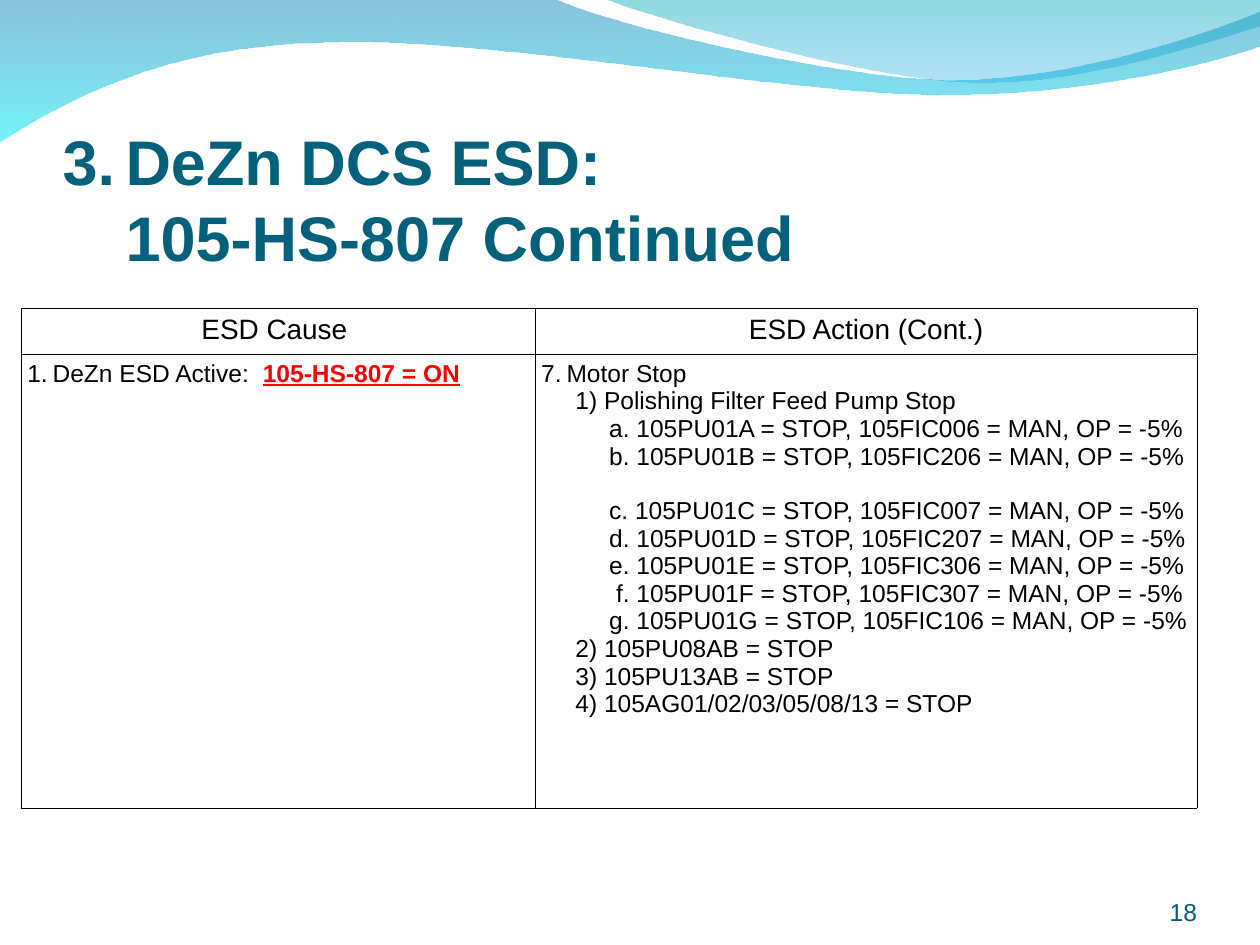
from lxml import etree
from pptx import Presentation
from pptx.dml.color import RGBColor
from pptx.enum.text import MSO_ANCHOR, PP_ALIGN
from pptx.oxml.ns import qn
from pptx.util import Cm, Pt

LEFT, CENTER, RIGHT = PP_ALIGN.LEFT, PP_ALIGN.CENTER, PP_ALIGN.RIGHT
BOTTOM = MSO_ANCHOR.BOTTOM
FONT, TEAL, BLACK, RED = "Arial", "04617B", "000000", "FF0000"

# Content
TITLE = "DeZn DCS ESD: \v105-HS-807 Continued"
PAGE_NUMBER = "18"
HEADERS = ["ESD Cause ", "ESD Action (Cont.)"]
CAUSE, CAUSE_TAG = "DeZn ESD Active:  ", "105-HS-807 = ON"
ACTION = "Motor Stop"
# (text, left indent in cm, space after in points)
STEPS = [
    ("1) Polishing Filter Feed Pump Stop", 0.69, 0),
    ("a. 105PU01A = STOP, 105FIC006 = MAN, OP = -5%", 1.37, 0),
    ("b. 105PU01B = STOP, 105FIC206 = MAN, OP = -5%", 1.37, 15.6),
    ("c. 105PU01C = STOP, 105FIC007 = MAN, OP = -5%", 1.37, 0),
    ("d. 105PU01D = STOP, 105FIC207 = MAN, OP = -5%", 1.37, 0),
    ("e. 105PU01E = STOP, 105FIC306 = MAN, OP = -5%", 1.37, 0),
    ("f. 105PU01F = STOP, 105FIC307 = MAN, OP = -5%", 1.51, 0),
    ("g. 105PU01G = STOP, 105FIC106 = MAN, OP = -5%", 1.37, 0),
    ("2) 105PU08AB = STOP", 0.69, 0),
    ("3) 105PU13AB = STOP", 0.69, 0),
    ("4) 105AG01/02/03/05/08/13 = STOP", 0.69, 0),
]
COLUMNS, ROWS = [10.36, 13.34], [0.92, 9.15]

# Waves: points in cm; two values draw a line, six a Bezier curve.
# Gradient stops: colour and opacity in percent, top to bottom.
WAVES = [
    ([(0, -0.03), (11.18, -0.03),
      (12.09, 0.43, 16.87, 1.6, 19.25, 1.6),
      (21.64, 1.6, 24.33, 0.66, 25.4, 0.23), (25.43, 0.91),
      (24.97, 1.12, 22.1, 1.93, 18.95, 1.91),
      (15.8, 1.91, 9.7, 0.71, 6.53, 0.86),
      (3.28, 0.89, 1.17, 2.11, -0.03, 2.87)],
     [("0079AF", 45), ("00EBF8", 55)]),
    ([(12.17, -0.03),
      (12.93, 0.28, 17.32, 1.57, 19.53, 1.65),
      (21.74, 1.75, 24.41, 0.81, 25.4, 0.53), (25.4, 0)],
     [("00ADB6", 45), ("009BE5", 30)]),
]


def colour(value):
    return RGBColor.from_string(value)


def add_child(parent, tag, **attributes):
    return etree.SubElement(parent, qn(tag), attributes)


def write(para, text, size=14, color=BLACK, bold=False, underline=False,
          align=LEFT):
    para.alignment = align
    for index, line in enumerate(text.split("\v")):
        if index:
            para.add_line_break()
        span = para.add_run()
        span.text = line
        font = span.font
        font.name, font.size = FONT, Pt(size)
        font.bold, font.underline = bold, underline
        font.color.rgb = colour(color)


def number(para, start, hang, color):
    properties = para._p.get_or_add_pPr()
    properties.set("marL", str(hang))
    properties.set("indent", str(-hang))
    add_child(add_child(properties, "a:buClr"), "a:srgbClr", val=color)
    add_child(properties, "a:buFont", typeface=FONT)
    add_child(properties, "a:buAutoNum", type="arabicPeriod",
              startAt=str(start))


def bend(shape, segments):
    """Merge each run of three lines that stands for a curve."""
    lines = iter(list(shape._element.iter(qn("a:lnTo"))))
    for segment in segments:
        parts = [next(lines) for _ in range(len(segment) // 2)]
        if len(parts) == 3:
            curve = etree.Element(qn("a:cubicBezTo"))
            parts[0].addprevious(curve)
            for part in parts:
                curve.append(part[0])
                part.getparent().remove(part)


def add_wave(page, segments, stops):
    points = [(Cm(x), Cm(y)) for segment in segments
              for x, y in zip(segment[::2], segment[1::2])]
    builder = page.shapes.build_freeform(*points[0])
    builder.add_line_segments(points[1:], close=True)
    wave = builder.convert_to_shape()
    bend(wave, segments[1:])
    wave.shadow.inherit = False
    wave.line.fill.background()
    wave.fill.gradient()
    wave.fill.gradient_angle = 270
    for stop, (color, _) in zip(wave.fill.gradient_stops, stops):
        stop.color.rgb = colour(color)
    tags = wave._element.spPr.iter(qn("a:srgbClr"))
    for tag, (_, opacity) in zip(tags, stops):
        add_child(tag, "a:alpha", val=str(opacity * 1000))


def place(box, left, top, width, height):
    box.left, box.top = Cm(left), Cm(top)
    box.width, box.height = Cm(width), Cm(height)


def set_frame(frame, top=0):
    frame.word_wrap = True
    frame.vertical_anchor = BOTTOM
    frame.margin_left = frame.margin_right = frame.margin_bottom = 0
    frame.margin_top = Cm(top)


def style_cell(cell):
    cell.margin_left = cell.margin_right = Cm(0.12)
    cell.margin_top = cell.margin_bottom = Cm(0.12)
    properties = cell._tc.get_or_add_tcPr()
    for side in ("a:lnL", "a:lnR", "a:lnT", "a:lnB"):
        line = add_child(properties, side, w=str(Pt(0.45)))
        add_child(add_child(line, "a:solidFill"), "a:srgbClr", val=BLACK)
    cell.fill.background()


deck = Presentation()
deck.slide_width, deck.slide_height = Cm(25.4), Cm(19.05)
page = deck.slides.add_slide(deck.slide_layouts[5])

# Waves
for segments, stops in WAVES:
    add_wave(page, segments, stops)

# Title
title = page.shapes.title
place(title, 1.26, 2.34, 23.29, 3.18)
set_frame(title.text_frame, top=0.13)
para = title.text_frame.paragraphs[0]
number(para, 3, Cm(1.27), TEAL)
write(para, TITLE, size=36, color=TEAL, bold=True)

# Page number
box = page.shapes.add_textbox(Cm(22.02), Cm(17.65), Cm(2.11), Cm(1.02))
set_frame(box.text_frame)
write(box.text_frame.paragraphs[0], PAGE_NUMBER, color="045C75", align=RIGHT)

# Cause and action table
table = page.shapes.add_table(2, 2, Cm(0.43), Cm(6.22), Cm(sum(COLUMNS)),
                              Cm(sum(ROWS))).table
table.first_row = table.horz_banding = False
for column, width in zip(table.columns, COLUMNS):
    column.width = Cm(width)
for row, height in zip(table.rows, ROWS):
    row.height = Cm(height)
for cell in table.iter_cells():
    style_cell(cell)
for index, header in enumerate(HEADERS):
    write(table.cell(0, index).text_frame.paragraphs[0], header, size=16,
          align=CENTER)

cause = table.cell(1, 0).text_frame.paragraphs[0]
number(cause, 1, Cm(0.51), BLACK)
write(cause, CAUSE)
write(cause, CAUSE_TAG, color=RED, bold=True, underline=True)

actions = table.cell(1, 1).text_frame
number(actions.paragraphs[0], 7, Cm(0.51), BLACK)
write(actions.paragraphs[0], ACTION)
for text, indent, gap in STEPS:
    para = actions.add_paragraph()
    para._p.get_or_add_pPr().set("marL", str(Cm(indent)))
    para.space_after = Pt(gap)
    write(para, text)

deck.save("out.pptx")
